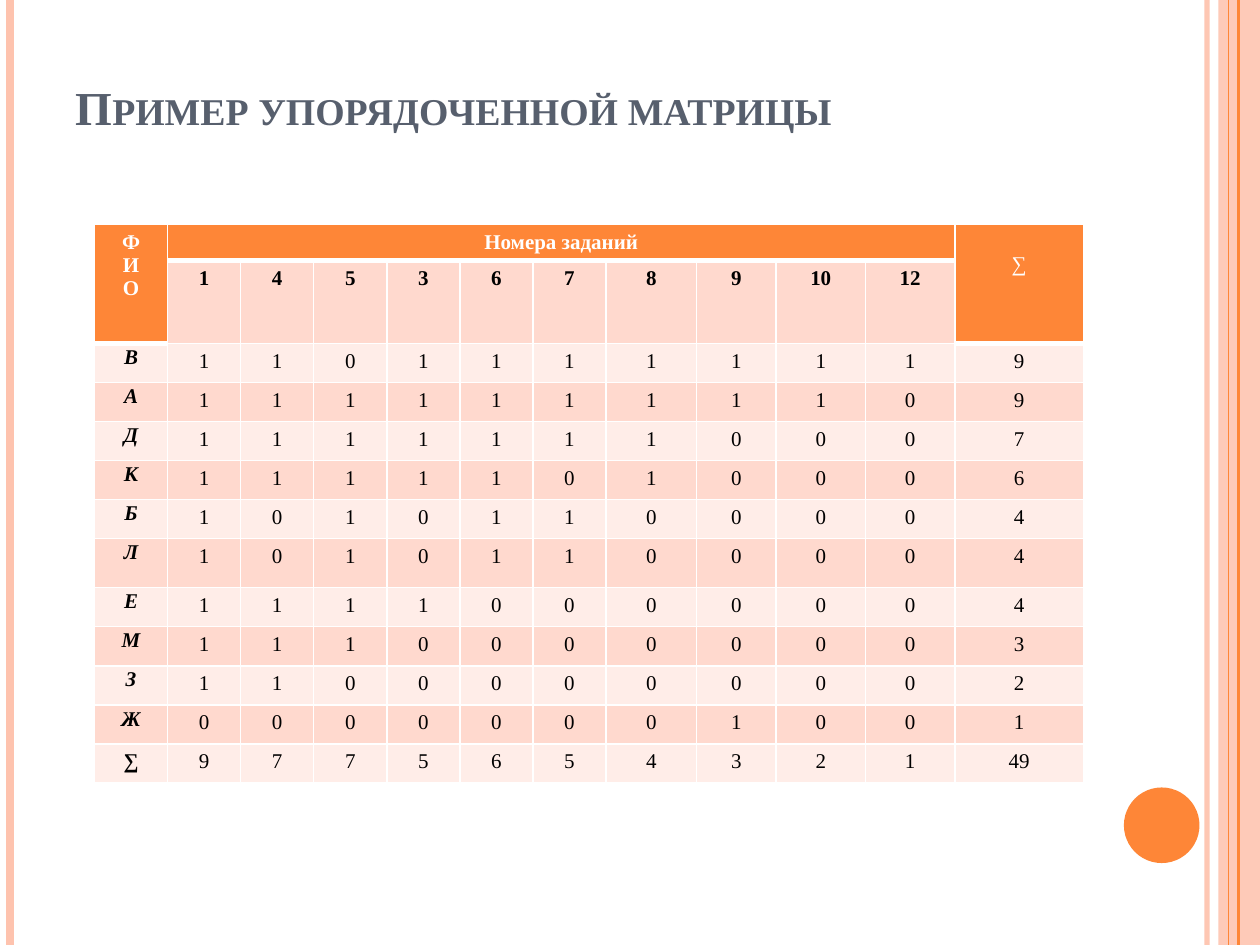
from lxml.etree import SubElement as Sub
from pptx import Presentation
from pptx.dml.color import RGBColor as Rgb
from pptx.enum.shapes import MSO_CONNECTOR as Conn, MSO_SHAPE as Geo
from pptx.enum.text import MSO_ANCHOR as Anchor, MSO_AUTO_SIZE as Auto, PP_ALIGN as Align
from pptx.oxml.ns import qn
from pptx.util import Inches as In, Pt

HEAD = "Пример упорядоченной матрицы"
TASKS = [1, 4, 5, 3, 6, 7, 8, 9, 10, 12]
MARKS = [
    ("В", "1101111111", 9),
    ("А", "1111111110", 9),
    ("Д", "1111111000", 7),
    ("К", "1111101000", 6),
    ("Б", "1010110000", 4),
    ("Л", "1010110000", 4),
    ("Е", "1111000000", 4),
    ("М", "1110000000", 3),
    ("З", "1100000000", 2),
    ("Ж", "0000000100", 1),
    ("∑", "9775654321", 49),
]
THEME = {
    "font": "Times New Roman", "title": 27, "body": 12,
    "slate": "575F6D", "accent": "FE8637", "pale": "FEC3AE",
    "dark": "FFD9CE", "light": "FFEDE8", "white": "FFFFFF", "black": "000000",
}
WIDE, HIGH = 10, 7.5
STRIPES = [  # x, colour, points, opacity
    (9.58, "pale", 3, 93), (0.08, "pale", 4.5, 100),
    (9.83, "accent", 1.5, 100), (9.75, "accent", 0.75, 100),
]
COLS = [0.58] * 7 + [0.72, 0.63, 0.71, 0.71, 1.02]
ROWS = [0.29, 0.65] + [0.39 if name == "Л" else 0.31 for name, _, _ in MARKS]
LAST = len(COLS) - 1


def tint(key):
    """Give a theme colour as RGB."""
    return Rgb.from_string(THEME[key])


def fade(props, share):
    """Set the opacity, in percent, of the first colour inside props."""
    color = next(props.iter(qn("a:srgbClr")))
    Sub(color, qn("a:alpha"), val=str(share * 1000))


def stripe(slide, x, key, width, share):
    """Draw a full-height vertical line."""
    line = slide.shapes.add_connector(Conn.STRAIGHT, In(x), 0, In(x), In(HIGH))
    line.line.color.rgb = tint(key)
    line.line.width = Pt(width)
    props = line._element.spPr
    if share < 100:
        fade(props, share)
    Sub(props, qn("a:effectLst"))


def block(slide, kind, box, key):
    """Draw a plain filled shape without outline."""
    shape = slide.shapes.add_shape(kind, *map(In, box))
    shape.shadow.inherit = False
    shape.fill.solid()
    shape.fill.fore_color.rgb = tint(key)
    shape.line.fill.background()
    return shape


def write(para, text, size, key, bold=False, slant=False):
    """Add one formatted run to a paragraph."""
    run = para.add_run()
    run.text = str(text)
    font = run.font
    font.name, font.size = THEME["font"], Pt(size)
    font.bold, font.italic = bold, slant
    font.color.rgb = tint(key)
    return run


def edge(row, col):
    """Give the line width above a cell: thick right under the header."""
    under = 2 if col in (0, LAST) else 1
    return 3 if row == under else 1


def frame(cell, row, col):
    """Draw the four white cell borders."""
    sides = {"L": 1, "R": 1, "T": edge(row, col), "B": edge(row + 1, col)}
    for side, width in sides.items():
        line = Sub(cell._tc.get_or_add_tcPr(), qn("a:ln" + side), w=str(Pt(width)))
        Sub(Sub(line, qn("a:solidFill")), qn("a:srgbClr"), val=THEME["white"])


def put(cell, lines, key="black", bold=False, slant=False):
    """Write centred lines into a cell."""
    for i, text in enumerate(lines):
        paras = cell.text_frame
        para = paras.add_paragraph() if i else paras.paragraphs[0]
        para.alignment = Align.CENTER
        if slant:
            para.line_spacing = 0.8
        write(para, text, THEME["body"], key, bold, slant)


def matrix(slide):
    """Build the table of marks."""
    box = map(In, (0.75, 1.78, sum(COLS), sum(ROWS)))
    grid = slide.shapes.add_table(len(ROWS), len(COLS), *box).table
    for col, width in zip(grid.columns, COLS):
        col.width = In(width)
    for row, height in zip(grid.rows, ROWS):
        row.height = In(height)
    for r in range(len(ROWS)):
        for c in range(len(COLS)):
            cell = grid.cell(r, c)
            frame(cell, r, c)
            top = r == 0 or r == 1 and c in (0, LAST)
            cell.fill.solid()
            cell.fill.fore_color.rgb = tint("accent" if top else "dark" if r % 2 else "light")

    for c in (0, LAST):
        grid.cell(0, c).merge(grid.cell(1, c))
    grid.cell(0, 1).merge(grid.cell(0, LAST - 1))
    put(grid.cell(0, 0), "ФИО", "white", True)
    put(grid.cell(0, 1), ["Номера заданий"], "white", True)
    put(grid.cell(0, LAST), "∑", "white")
    grid.cell(0, LAST).margin_top = In(0.23)
    for c, task in enumerate(TASKS, 1):
        put(grid.cell(1, c), [task], bold=True)
    for r, (name, marks, total) in enumerate(MARKS, 2):
        put(grid.cell(r, 0), [name], bold=True, slant=name != "∑")
        for c, mark in enumerate([*marks, total], 1):
            put(grid.cell(r, c), [mark])


def title(slide):
    """Place and format the slide title."""
    shape = slide.shapes.title
    shape.left, shape.top, shape.width, shape.height = map(In, (0.5, 0.3, 8.17, 1.25))
    text = shape.text_frame
    text.auto_size, text.word_wrap = Auto.NONE, True
    text.vertical_anchor, text.margin_bottom = Anchor.BOTTOM, In(0.48)
    para = text.paragraphs[0]
    para.alignment = Align.LEFT
    run = write(para, HEAD, THEME["title"], "slate", True)
    run.font._element.set("cap", "small")


def main():
    """Build and save the slide."""
    deck = Presentation()
    deck.slide_width, deck.slide_height = In(WIDE), In(HIGH)
    slide = deck.slides.add_slide(deck.slide_layouts[5])
    band = block(slide, Geo.RECTANGLE, (9.67, 0, WIDE - 9.67, HIGH), "pale")
    fade(band._element.spPr, 87)
    for item in STRIPES:
        stripe(slide, *item)
    block(slide, Geo.OVAL, (8.92, 6.25, 0.6, 0.6), "accent")
    title(slide)
    matrix(slide)
    deck.save("out.pptx")


main()
